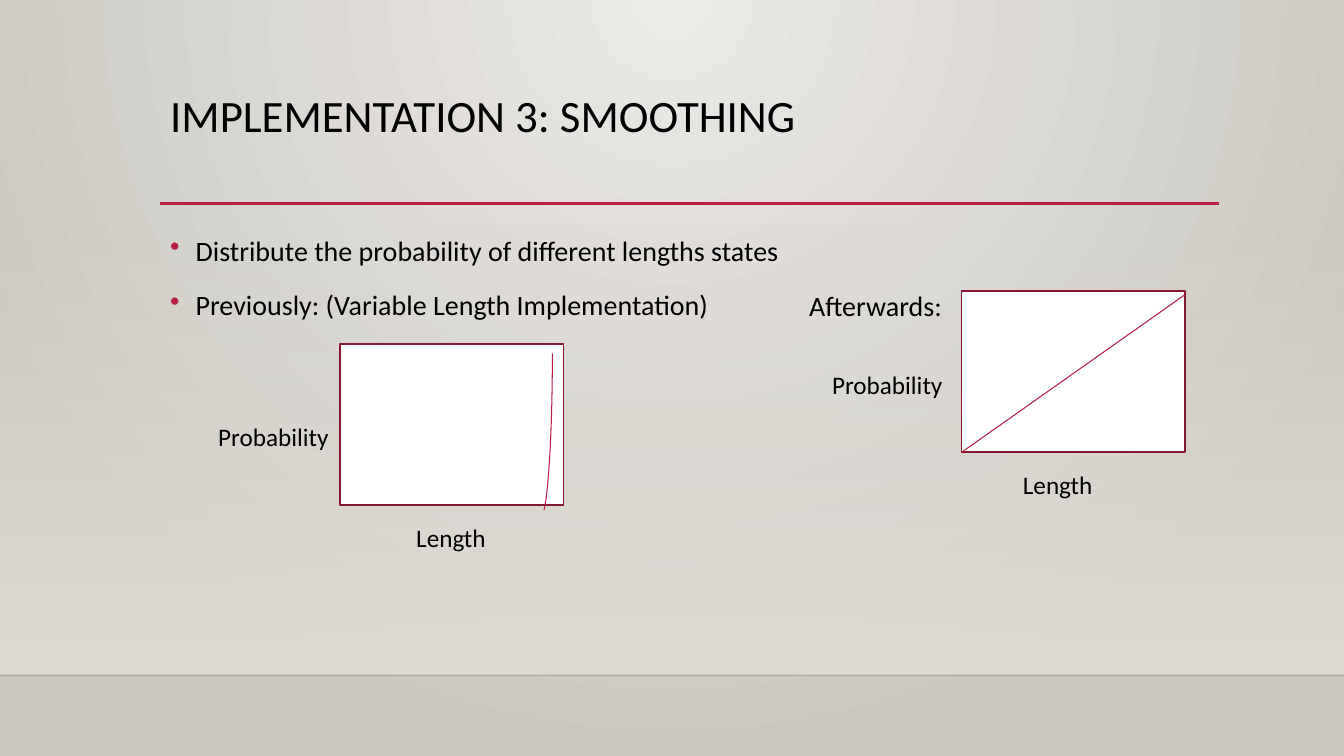
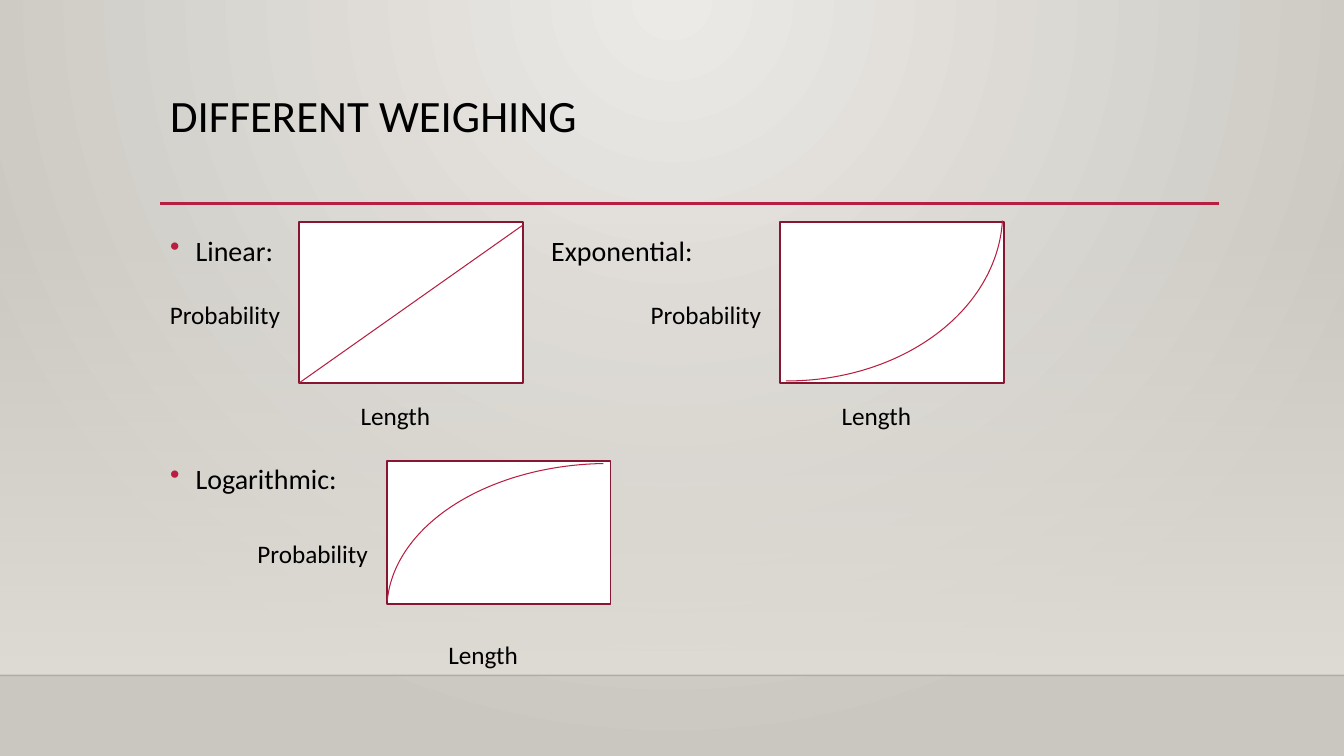
from dataclasses import dataclass

from lxml.etree import SubElement
from pptx import Presentation
from pptx.dml.color import RGBColor
from pptx.enum.shapes import MSO_CONNECTOR as Connector, MSO_SHAPE as Shape
from pptx.oxml.ns import qn
from pptx.util import Cm, Pt


@dataclass(frozen=True)
class Theme:
    font: str = "Calibri"
    text: str = "000000"
    accent: str = "B71E42"
    plot_fill: str = "FFFFFF"
    plot_border: str = "871631"
    background: tuple = ("ECEAE7", "CAC7C1")
    band: str = "DFDBD5"
    band_edge: str = "000001"
    title_size: int = 32
    body_size: int = 20
    label_size: int = 18


theme = Theme()
rgb = RGBColor.from_string


def add_text(slide, text, box, size=theme.body_size, line_spacing=1.0,
             space_before=0, bullet=False):
    """Add a text box at box (left, top, width, height in cm), a paragraph per line."""
    frame = slide.shapes.add_textbox(*map(Cm, box)).text_frame
    frame.word_wrap = True
    for index, line in enumerate(text.split("\n")):
        paragraph = frame.add_paragraph() if index else frame.paragraphs[0]
        paragraph.line_spacing = line_spacing
        paragraph.space_before = Pt(space_before)
        run = paragraph.add_run()
        run.text = line
        run.font.name = theme.font
        run.font.size = Pt(size)
        run.font.color.rgb = rgb(theme.text)
        if bullet:
            properties = paragraph._p.get_or_add_pPr()
            properties.set("marL", str(Cm(0.64)))
            properties.set("indent", str(-Cm(0.64)))
            bullet_color = SubElement(properties, qn("a:buClr"))
            SubElement(bullet_color, qn("a:srgbClr"), val=theme.accent)
            SubElement(properties, qn("a:buChar"), char="•")


def add_line(slide, start, end, color, width, opacity=100):
    line = slide.shapes.add_connector(Connector.STRAIGHT, *map(Cm, start + end))
    line.line.color.rgb = rgb(color)
    line.line.width = Pt(width)
    if opacity < 100:
        color_element = line.element.xpath(".//a:ln//a:srgbClr")[0]
        SubElement(color_element, qn("a:alpha"), val=str(opacity * 1000))
    SubElement(line.element.spPr, qn("a:effectLst"))


SLIDE_WIDTH, SLIDE_HEIGHT = 33.87, 19.05
BAND_TOP, BAND_BOTTOM = 5.61, 17.02
LEFT, CONTENT_WIDTH = 4.04, 26.67
BODY_TOP = 5.59
PLOT_WIDTH, PLOT_HEIGHT = 5.64, 4.06
CURVE_WIDTH = 0.75

# A plot without an arc shows a straight diagonal. Arc angles are in degrees.
slides = [
    dict(
        title="IMPLEMENTATION 3: SMOOTHING",
        bullets="Distribute the probability of different lengths states\n"
                "Previously: (Variable Length Implementation)",
        bullet_gap=10,
        side_label=("Afterwards:", 20.14, 6.98),
        plots=[
            dict(left=8.56, top=8.66, label_shift=(0.38, 0.2),
                 arc=dict(box=(13.31, 4.78, 0.61, 8.28), angles=(176.5, 268.63),
                          rotation=180)),
            dict(left=24.23, top=7.34),
        ],
    ),
    dict(
        title="DIFFERENT WEIGHING",
        bullets="Linear:\nLogarithmic:",
        bullet_gap=134,
        side_label=("Exponential:", 13.64, BODY_TOP),
        plots=[
            dict(left=7.54, top=BODY_TOP),
            dict(left=19.66, top=BODY_TOP,
                 arc=dict(box=(14.4, 1.12, 10.87, 8.48), angles=(2.09, 90.36))),
            dict(left=9.75, top=11.61, height=3.61,
                 arc=dict(box=(9.75, 11.68, 11.18, 7.37), angles=(182.38, 267.97))),
        ],
    ),
]

presentation = Presentation()
presentation.slide_width = Cm(SLIDE_WIDTH)
presentation.slide_height = Cm(SLIDE_HEIGHT)
blank_layout = presentation.slide_layouts[6]

# Background shared through the slide master: a circular gradient
master = presentation.slide_master
background = master.background.fill
background.gradient()
for stop, color in zip(background.gradient_stops, theme.background):
    stop.color.rgb = rgb(color)
linear = master.element.xpath(".//p:bgPr/a:gradFill/a:lin")[0]
gradient = linear.getparent()
gradient.remove(linear)
circle = SubElement(gradient, qn("a:path"), path="circle")
SubElement(circle, qn("a:fillToRect"), l="43000", t="0", r="43000", b="100000")

for content in slides:
    slide = presentation.slides.add_slide(blank_layout)

    # Band that fades in towards the bottom, and its edge
    band = slide.shapes.add_shape(Shape.RECTANGLE, 0, Cm(BAND_TOP), Cm(SLIDE_WIDTH),
                                  Cm(BAND_BOTTOM - BAND_TOP))
    band.shadow.inherit = False
    band.line.fill.background()
    band.fill.gradient()
    band.fill.gradient_angle = 270
    for stop in band.fill.gradient_stops:
        stop.color.rgb = rgb(theme.band)
    first_color = band.element.xpath(".//a:gs/a:srgbClr")[0]
    SubElement(first_color, qn("a:alpha"), val="0")
    add_line(slide, (0, BAND_BOTTOM), (SLIDE_WIDTH, BAND_BOTTOM), theme.band_edge, 1,
             opacity=20)

    # Title, its rule and the body text
    add_line(slide, (LEFT, 5.13), (30.73, 5.13), theme.accent, 2.5)
    add_text(slide, content["title"], (LEFT, 2.24, CONTENT_WIDTH, 2.92),
             size=theme.title_size, line_spacing=0.9)
    add_text(slide, content["bullets"], (LEFT, BODY_TOP, CONTENT_WIDTH, 9.58),
             line_spacing=1.2, space_before=content["bullet_gap"], bullet=True)
    label, label_left, label_top = content["side_label"]
    add_text(slide, label, (label_left, label_top, 5, 1.3), line_spacing=1.2)

    for plot in content["plots"]:
        left, top = plot["left"], plot["top"]
        height = plot.get("height", PLOT_HEIGHT)
        frame = slide.shapes.add_shape(Shape.RECTANGLE, Cm(left), Cm(top),
                                       Cm(PLOT_WIDTH), Cm(height))
        frame.shadow.inherit = False
        frame.fill.solid()
        frame.fill.fore_color.rgb = rgb(theme.plot_fill)
        frame.line.color.rgb = rgb(theme.plot_border)
        frame.line.width = Pt(1.25)

        arc = plot.get("arc")
        if arc:
            curve = slide.shapes.add_shape(Shape.ARC, *map(Cm, arc["box"]))
            curve.shadow.inherit = False
            curve.rotation = arc.get("rotation", 0)
            for index, angle in enumerate(arc["angles"]):
                curve.adjustments[index] = angle * 0.6
            curve.fill.background()
            curve.line.color.rgb = rgb(theme.accent)
            curve.line.width = Pt(CURVE_WIDTH)
        else:
            add_line(slide, (left, top + height), (left + PLOT_WIDTH, top + 0.08),
                     theme.accent, CURVE_WIDTH)

        length_shift, probability_shift = plot.get("label_shift", (0, 0))
        add_text(slide, "Length", (left + 1.3 + length_shift, top + 4.37, 3.05, 1.02),
                 size=theme.label_size)
        add_text(slide, "Probability",
                 (left - 3.51 + probability_shift, top + 1.83, 3.78, 1.02),
                 size=theme.label_size)

presentation.save("out.pptx")
